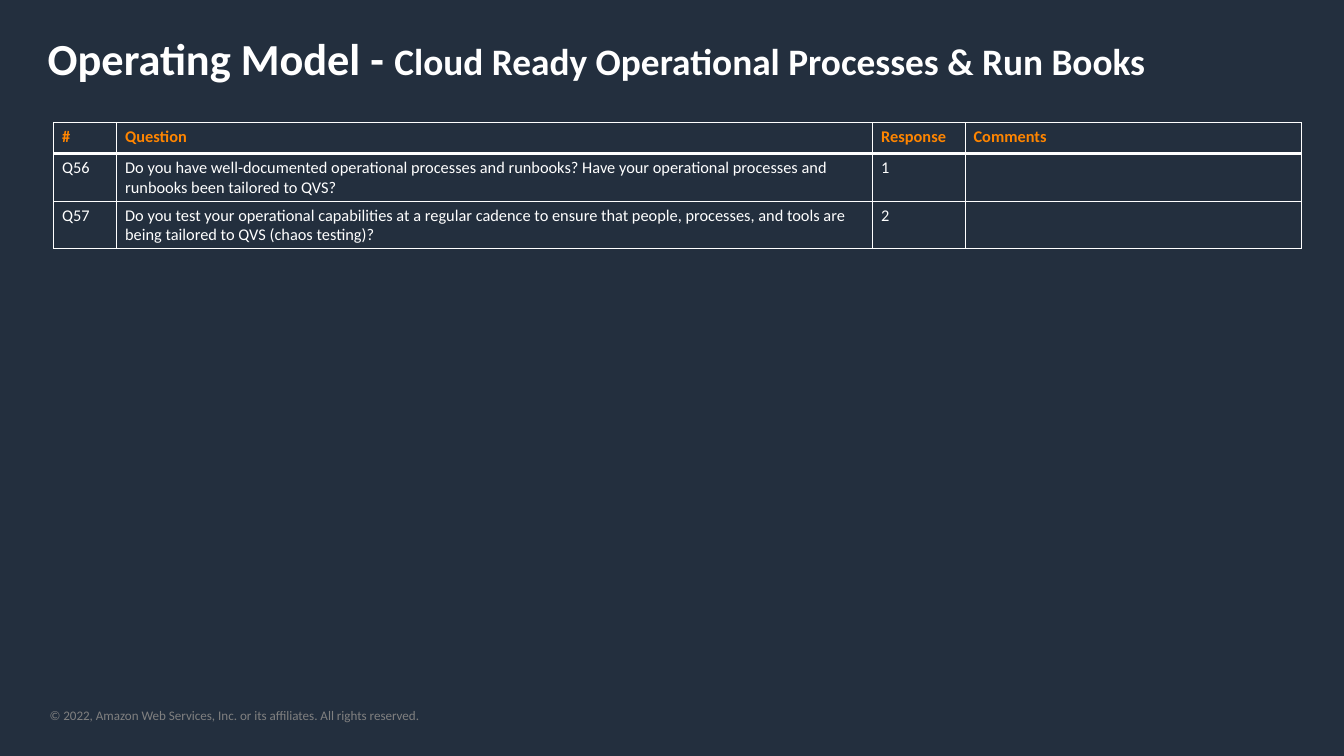
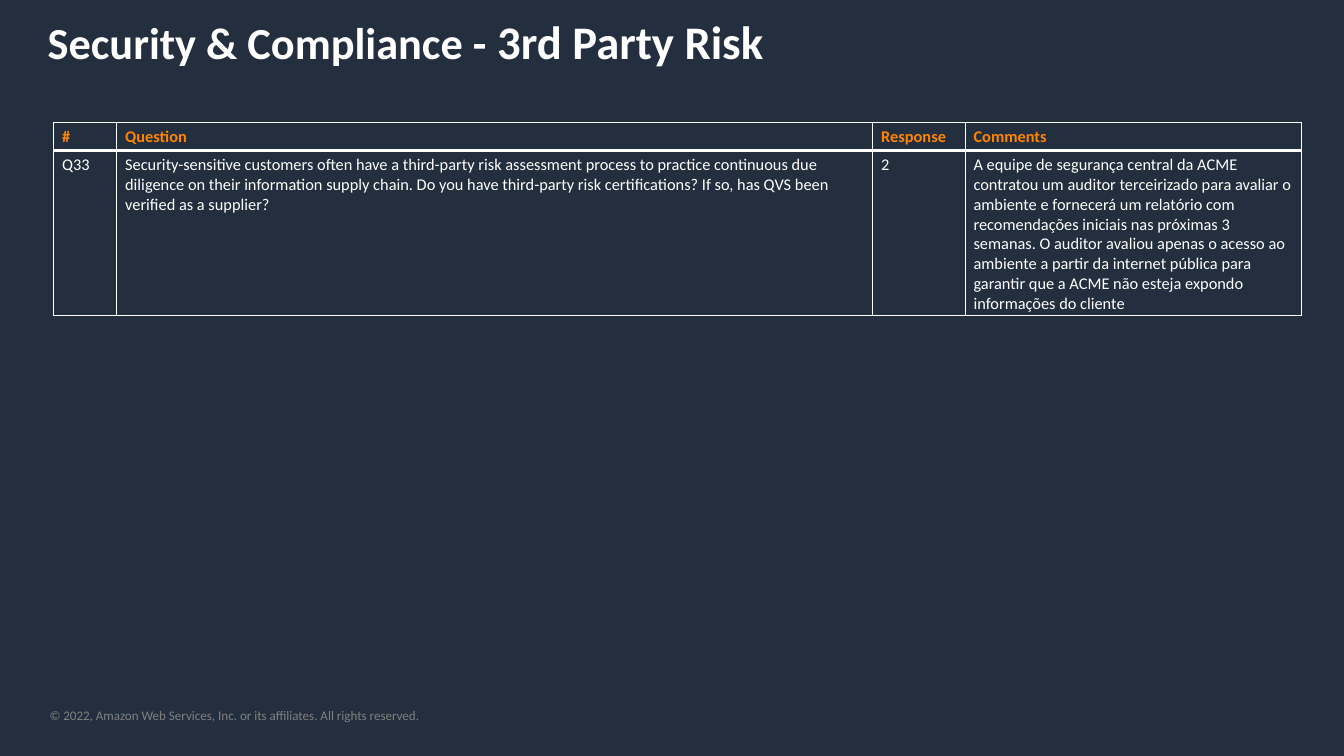
from dataclasses import dataclass

from lxml.etree import SubElement
from pptx import Presentation
from pptx.dml.color import RGBColor
from pptx.enum.text import MSO_AUTO_SIZE
from pptx.oxml.ns import qn
from pptx.util import Inches, Pt


@dataclass(frozen=True)
class Theme:
    font: str = "Calibri"
    navy: str = "232F3E"
    white: str = "FFFFFF"
    orange: str = "FF8500"
    grey: str = "808080"
    title_size: float = 38
    table_size: float = 14
    footer_size: float = 11.2
    thin_line: float = 1
    header_line: float = 3


THEME = Theme()
FOOTER = "© 2022, Amazon Web Services, Inc. or its affiliates. All rights reserved."
HEADINGS = ("#", "Question", "Response", "Comments")
COLUMN_WIDTHS = (0.75, 9, 1.1, 4)
PAGES = [
    {
        "topic": "Operating Model - ",
        "subtopic": "Cloud Ready Operational Processes & Run Books",
        "subtopic_size": 32,
        "title_top": 0.32,
        "title_height": 0.74,
        "row_height": 0.37,
        "answers": [
            ("Q56", "Do you have well-documented operational processes and runbooks? "
                    "Have your operational processes and runbooks been tailored to QVS?",
             "1", ""),
            ("Q57", "Do you test your operational capabilities at a regular cadence to "
                    "ensure that people, processes, and tools are being tailored to QVS "
                    "(chaos testing)?",
             "2", ""),
        ],
    },
    {
        "topic": "Security & Compliance - ",
        "subtopic": "3rd Party Risk",
        "subtopic_size": 40,
        "title_top": 0.11,
        "title_height": 0.77,
        "row_height": 0.28,
        "answers": [
            ("Q33", "Security-sensitive customers often have a third-party risk assessment "
                    "process to practice continuous due diligence on their information "
                    "supply chain. Do you have third-party risk certifications? If so, has "
                    "QVS been verified as a supplier?",
             "2",
             "A equipe de segurança central da ACME contratou um auditor terceirizado para "
             "avaliar o ambiente e fornecerá um relatório com recomendações iniciais nas "
             "próximas 3 semanas. O auditor avaliou apenas o acesso ao ambiente a partir da "
             "internet pública para garantir que a ACME não esteja expondo informações do "
             "cliente"),
        ],
    },
]


def add_span(para, text, size, color, bold=False):
    span = para.add_run()
    span.text = text
    formats = {"name": THEME.font, "size": Pt(size), "bold": bold}
    for name, value in formats.items():
        setattr(span.font, name, value)
    span.font.color.rgb = RGBColor.from_string(color)


def set_borders(cell, bottom_width):
    """Draw thin sides and top, and a bottom of the given width in points."""
    properties = cell._tc.get_or_add_tcPr()
    widths = {"lnL": THEME.thin_line, "lnR": THEME.thin_line,
              "lnT": THEME.thin_line, "lnB": bottom_width}
    for side, width in widths.items():
        line = SubElement(properties, qn(f"a:{side}"), w=str(Pt(width)))
        fill = SubElement(line, qn("a:solidFill"))
        SubElement(fill, qn("a:srgbClr"), val=THEME.white)


deck = Presentation()
deck.slide_width, deck.slide_height = Inches(16), Inches(9)
background = deck.slide_master.background.fill
background.solid()
background.fore_color.rgb = RGBColor.from_string(THEME.navy)

for content in PAGES:
    page = deck.slides.add_slide(deck.slide_layouts[6])

    footer = page.shapes.add_textbox(Inches(0.59), Inches(8.42), Inches(7.78), Inches(0.19))
    for side in ("left", "top", "right", "bottom"):
        setattr(footer.text_frame, f"margin_{side}", 0)
    add_span(footer.text_frame.paragraphs[0], FOOTER, THEME.footer_size, THEME.grey)

    title = page.shapes.add_textbox(Inches(0.47), Inches(content["title_top"]),
                                    Inches(15.26), Inches(content["title_height"]))
    title_para = title.text_frame.paragraphs[0]
    add_span(title_para, content["topic"], THEME.title_size, THEME.white, bold=True)
    add_span(title_para, content["subtopic"], content["subtopic_size"], THEME.white, bold=True)

    for box in (footer, title):
        box.text_frame.word_wrap = True
        box.text_frame.auto_size = MSO_AUTO_SIZE.SHAPE_TO_FIT_TEXT

    rows = [HEADINGS, *content["answers"]]
    table = page.shapes.add_table(
        len(rows), len(HEADINGS), Inches(0.64), Inches(1.46),
        Inches(sum(COLUMN_WIDTHS)), Inches(content["row_height"] * len(rows))).table
    table.horz_banding = False
    for column, width in zip(table.columns, COLUMN_WIDTHS):
        column.width = Inches(width)
    for row_index, texts in enumerate(rows):
        is_header = row_index == 0
        table.rows[row_index].height = Inches(content["row_height"])
        for cell, text in zip(table.rows[row_index].cells, texts):
            set_borders(cell, THEME.header_line if is_header else THEME.thin_line)
            cell.fill.background()
            if text:
                add_span(cell.text_frame.paragraphs[0], text, THEME.table_size,
                         THEME.orange if is_header else THEME.white, bold=is_header)

deck.save("out.pptx")
